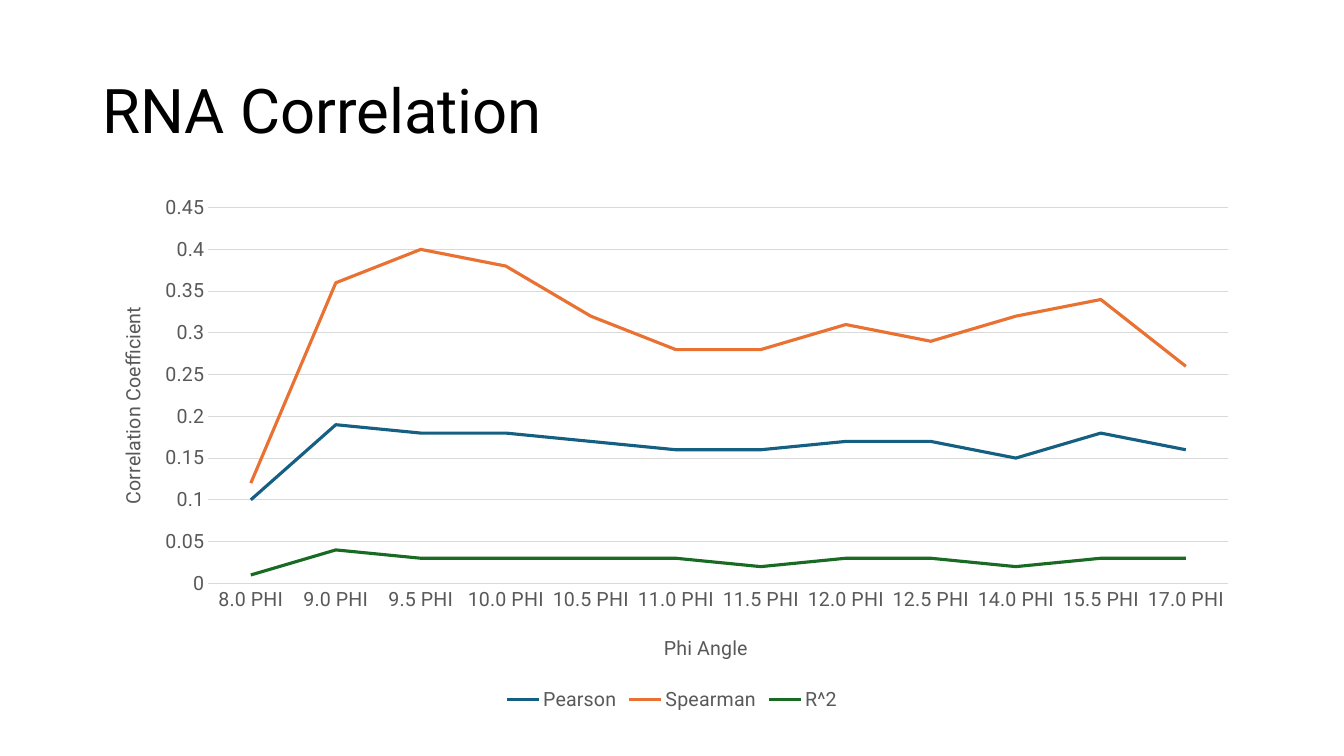
from lxml.etree import SubElement
from pptx import Presentation
from pptx.chart.data import CategoryChartData
from pptx.dml.color import RGBColor
from pptx.enum.chart import XL_CHART_TYPE, XL_LEGEND_POSITION, XL_TICK_MARK
from pptx.enum.text import MSO_ANCHOR
from pptx.oxml.ns import qn
from pptx.util import Pt

FONT = "Roboto"
GREY = "595959"
GRID = "D9D9D9"

ANGLES = ["8.0", "9.0", "9.5", "10.0", "10.5", "11.0",
          "11.5", "12.0", "12.5", "14.0", "15.5", "17.0"]
# Name, line colour, values
COEFFICIENTS = [
    ("Pearson", "156082",
     [0.1, 0.19, 0.18, 0.18, 0.17, 0.16, 0.16, 0.17, 0.17, 0.15, 0.18, 0.16]),
    ("Spearman", "E97132",
     [0.12, 0.36, 0.4, 0.38, 0.32, 0.28, 0.28, 0.31, 0.29, 0.32, 0.34, 0.26]),
    ("R^2", "196B24",
     [0.01, 0.04, 0.03, 0.03, 0.03, 0.03, 0.02, 0.03, 0.03, 0.02, 0.03, 0.03]),
]


def color(value):
    return RGBColor.from_string(value)


def style_font(font, size=14, fill=GREY):
    font.name = FONT
    font.size = Pt(size)
    font.bold = False
    font.color.rgb = color(fill)


def style_line(line, fill, width=0.75):
    line.color.rgb = color(fill)
    line.width = Pt(width)


def write_text(frame, text, size=14, fill=GREY, spacing=None):
    para = frame.paragraphs[0]
    para.line_spacing = spacing
    span = para.add_run()
    span.text = text
    style_font(span.font, size, fill)


def add_title(page, text, left, top, width, height):
    box = page.shapes.add_textbox(Pt(left), Pt(top), Pt(width), Pt(height))
    frame = box.text_frame
    frame.word_wrap = True
    frame.vertical_anchor = MSO_ANCHOR.MIDDLE
    write_text(frame, text, size=44, fill="000000", spacing=0.9)


def place(element, index, inner=False, **fractions):
    """Fix a chart part at fractions of the chart's size."""
    for old in element.findall(qn("c:layout")):
        element.remove(old)
    layout = SubElement(element, qn("c:layout"))
    element.insert(index, layout)
    manual = SubElement(layout, qn("c:manualLayout"))
    if inner:
        SubElement(manual, qn("c:layoutTarget"), val="inner")
    for side in ("x", "y"):
        SubElement(manual, qn(f"c:{side}Mode"), val="edge")
    for side, fraction in fractions.items():
        SubElement(manual, qn(f"c:{side}"), val=str(fraction))


def style_axis(axis, title, x, y, turn=0):
    axis.major_tick_mark = XL_TICK_MARK.NONE
    axis.minor_tick_mark = XL_TICK_MARK.NONE
    style_font(axis.tick_labels.font)
    frame = axis.axis_title.text_frame
    write_text(frame, title)
    element = axis.axis_title.format and axis.axis_title._element
    body = element.find(".//" + qn("a:bodyPr"))
    body.set("rot", str(turn * 60000))
    body.set("vert", "horz")
    place(element, 1, x=x, y=y)


def add_line_chart(page, left, top, width, height):
    data = CategoryChartData()
    data.categories = [f"{angle} PHI" for angle in ANGLES]
    for name, _, values in COEFFICIENTS:
        data.add_series(name, values)
    chart = page.shapes.add_chart(
        XL_CHART_TYPE.LINE, Pt(left), Pt(top), Pt(width), Pt(height), data).chart
    chart.has_title = False
    style_font(chart.font, fill="000000")

    # Lines
    chart.plots[0].vary_by_categories = False
    for series, (_, fill, _) in zip(chart.plots[0].series, COEFFICIENTS):
        series.smooth = False
        style_line(series.format.line, fill, 2.25)

    # Axes
    style_axis(chart.category_axis, "Phi Angle", x=0.49, y=0.84)
    style_line(chart.category_axis.format.line, GRID)
    values = chart.value_axis
    style_axis(values, "Correlation Coefficient", x=0.02, y=0.22, turn=-90)
    values.minimum_scale, values.maximum_scale, values.major_unit = 0, 0.45, 0.05
    values.tick_labels.number_format = "General"
    values.tick_labels.number_format_is_linked = False
    values.format.line.fill.background()
    style_line(values.major_gridlines.format.line, GRID)

    # Plot area and legend
    plot_area = chart.element.find(".//" + qn("c:plotArea"))
    place(plot_area, 0, inner=True, x=0.1, y=0.04, w=0.88, h=0.71)
    chart.has_legend = True
    chart.legend.position = XL_LEGEND_POSITION.BOTTOM
    chart.legend.include_in_layout = False
    style_font(chart.legend.font)


def main():
    deck = Presentation()
    deck.slide_width, deck.slide_height = Pt(960), Pt(540)
    page = deck.slides.add_slide(deck.slide_layouts[6])
    add_title(page, "RNA Correlation", 66, 28.75, 828, 104.5)
    add_line_chart(page, 66, 133.25, 828, 378)
    deck.save("out.pptx")


if __name__ == "__main__":
    main()
